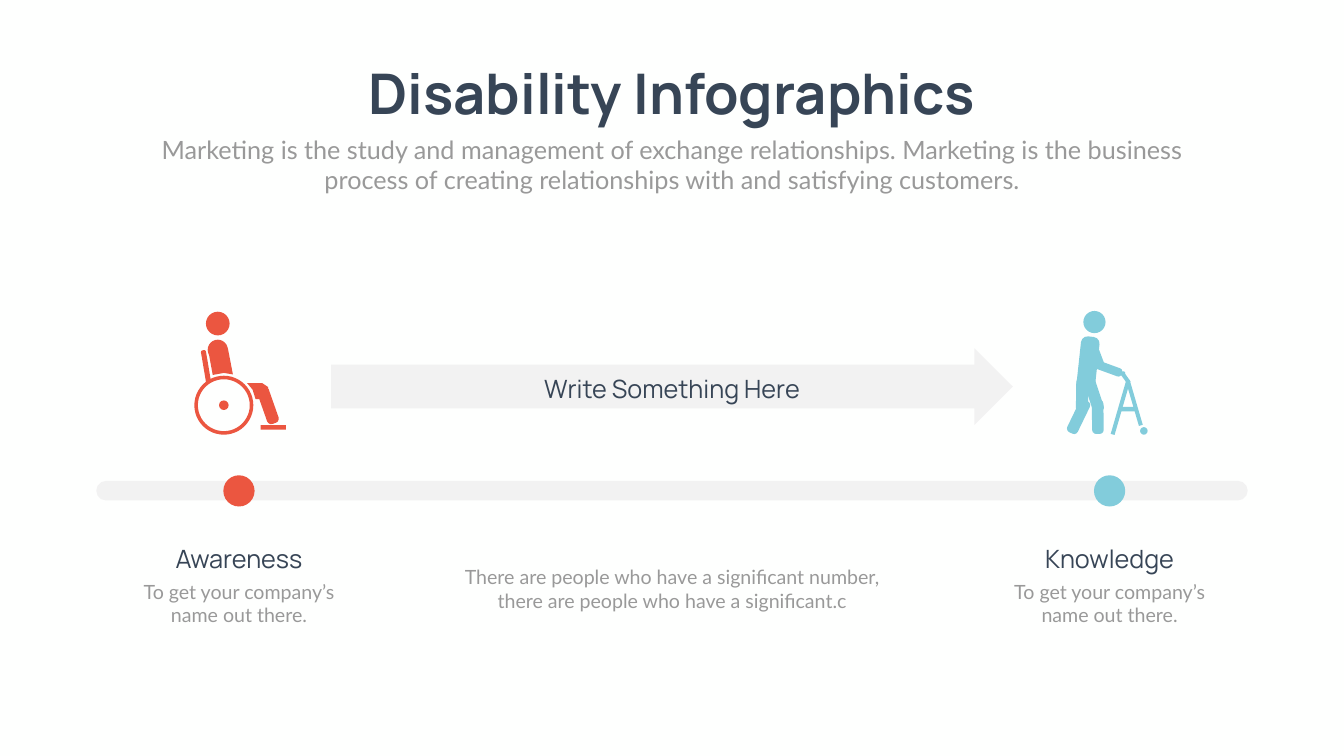
import math

import pptx
import pptx.util
import pptx.dml.color
import pptx.enum.shapes
import pptx.enum.text

Inches = pptx.util.Inches
Pt = pptx.util.Pt
RGBColor = pptx.dml.color.RGBColor
SHAPE = pptx.enum.shapes.MSO_SHAPE

NAVY = RGBColor(0x37, 0x45, 0x56)
GREY = RGBColor(0x99, 0x99, 0x99)
PALE = RGBColor(0xF2, 0xF2, 0xF2)
RED = RGBColor(0xEB, 0x56, 0x40)
BLUE = RGBColor(0x82, 0xCC, 0xDB)
PAPER = RGBColor(0xFE, 0xFF, 0xFE)

WIDTH, HEIGHT = 26.66, 15
TITLE = "Disability Infographics"
SUBTITLE = ("Marketing is the study and management of exchange relationships. "
            "Marketing is the business process of creating relationships with "
            "and satisfying customers.")
ARROW_LABEL = "Write Something Here"
MIDDLE_NOTE = ("There are people who have a significant number, "
               "there are people who have a significant.c")
NOTE = "To get your company’s name out there."
# Centre, colour, heading
MILESTONES = [(4.74, RED, "Awareness"), (22.01, BLUE, "Knowledge")]

# discs and rings: centre and diameter; limbs (rounded) and bars (square):
# both ends and thickness; outlines: corner points
WHEELCHAIR = {
    "discs": [(4.32, 6.42, 0.47), (4.32, 6.94, 0.4), (4.44, 8.04, 0.19)],
    "rings": [(4.44, 8.04, 1.17)],
    "limbs": [(4.03, 6.95, 4.14, 7.6, 0.1), (5.19, 7.69, 5.44, 8.4, 0.24)],
    "bars": [(5.17, 8.48, 5.67, 8.48, 0.09)],
    "outlines": [
        [(4.13, 6.95), (4.52, 6.91), (4.62, 7.43), (4.44, 7.4), (4.22, 7.44)],
        [(4.9, 7.6), (5.2, 7.6), (5.32, 7.68), (5.32, 7.84), (5.2, 7.92),
         (5.07, 7.92), (5.01, 7.73)],
    ],
}
WALKER = {
    "discs": [(21.71, 6.39, 0.44), (22.69, 8.55, 0.15)],
    "limbs": [
        (21.64, 6.68, 21.52, 7.79, 0.37),    # torso
        (21.65, 6.78, 21.85, 7.31, 0.17),    # upper arm
        (21.73, 7.22, 22.25, 7.41, 0.17),    # forearm
        (21.47, 7.5, 21.46, 8.18, 0.24),     # back leg
        (21.55, 7.95, 21.24, 8.59, 0.23),
        (21.59, 7.51, 21.81, 8.17, 0.23),    # front leg
        (21.77, 7.93, 21.78, 8.61, 0.23),
        (22.17, 7.41, 22.32, 7.41, 0.08),    # grip
        (22.25, 7.39, 22.4, 7.6, 0.08),
    ],
    "bars": [
        (22.38, 7.55, 22.07, 8.62, 0.08),
        (22.37, 7.55, 22.63, 8.44, 0.08),
        (22.21, 8.12, 22.53, 8.12, 0.09),
    ],
}


def paint(sp, color):
    sp.shadow.inherit = False
    sp.fill.solid()
    sp.fill.fore_color.rgb = color
    sp.line.fill.background()


def add_preset(shapes, kind, x, y, w, h, color, *adjustments):
    sp = shapes.add_shape(kind, Inches(x), Inches(y), Inches(w), Inches(h))
    for i, value in enumerate(adjustments):
        sp.adjustments[i] = value
    paint(sp, color)
    return sp


def add_round(shapes, kind, cx, cy, d, color, *adjustments):
    add_preset(shapes, kind, cx - d / 2, cy - d / 2, d, d, color, *adjustments)


def add_stick(shapes, kind, x1, y1, x2, y2, thick, color, *adjustments):
    """Turn a bar so that it runs from one end point to the other."""
    length = math.hypot(x2 - x1, y2 - y1)
    sp = add_preset(shapes, kind, (x1 + x2 - length) / 2, (y1 + y2 - thick) / 2,
                    length, thick, color, *adjustments)
    sp.rotation = math.degrees(math.atan2(y2 - y1, x2 - x1))


def add_icon(slide, icon, color):
    shapes = slide.shapes.add_group_shape().shapes
    for disc in icon["discs"]:
        add_round(shapes, SHAPE.OVAL, *disc, color)
    for ring in icon.get("rings", []):
        add_round(shapes, SHAPE.DONUT, *ring, color, 0.06)
    for limb in icon["limbs"]:
        add_stick(shapes, SHAPE.ROUNDED_RECTANGLE, *limb, color, 0.35)
    for bar in icon["bars"]:
        add_stick(shapes, SHAPE.RECTANGLE, *bar, color)
    for outline in icon.get("outlines", []):
        points = [(Inches(x), Inches(y)) for x, y in outline]
        builder = shapes.build_freeform(*points[0])
        builder.add_line_segments(points[1:], close=True)
        paint(builder.convert_to_shape(), color)


def add_text(slide, text, center, y, w, h, *, size, font="Lato", color=GREY,
             bold=False, wrap=True):
    box = slide.shapes.add_textbox(Inches(center - w / 2), Inches(y), Inches(w), Inches(h))
    tf = box.text_frame
    tf.word_wrap = wrap
    tf.auto_size = pptx.enum.text.MSO_AUTO_SIZE.SHAPE_TO_FIT_TEXT
    p = tf.paragraphs[0]
    p.alignment = pptx.enum.text.PP_ALIGN.CENTER
    r = p.add_run()
    r.text = text
    r.font.name, r.font.size, r.font.bold = font, Pt(size), bold
    r.font.color.rgb = color


def main():
    prs = pptx.Presentation()
    prs.slide_width, prs.slide_height = Inches(WIDTH), Inches(HEIGHT)
    s = prs.slides.add_slide(prs.slide_layouts[6])
    s.background.fill.solid()
    s.background.fill.fore_color.rgb = PAPER
    mid = WIDTH / 2
    heading = {"font": "Manrope", "color": NAVY}

    add_text(s, TITLE, mid, 1.12, 13.24, 1.45, size=80, bold=True, wrap=False, **heading)
    add_text(s, SUBTITLE, mid, 2.61, 20.82, 1.31, size=36)

    add_preset(s.shapes, SHAPE.ROUNDED_RECTANGLE, 1.91, 9.54, 22.84, 0.39, PALE, 0.5)
    for center, color, name in MILESTONES:
        add_round(s.shapes, SHAPE.OVAL, center, 9.74, 0.62, color)
        add_text(s, NOTE, center, 11.45, 4.59, 1.04, size=28)
        add_text(s, name, center, 10.74, 4, 0.71, size=36, **heading)

    add_icon(s, WHEELCHAIR, RED)
    add_icon(s, WALKER, BLUE)

    add_preset(s.shapes, SHAPE.RIGHT_ARROW, 6.57, 6.91, 13.52, 1.52, PALE, 0.57, 0.5)
    add_text(s, ARROW_LABEL, mid, 7.35, 6.82, 0.71, size=36, **heading)
    add_text(s, MIDDLE_NOTE, mid, 11.16, 8.55, 1.04, size=28)
    prs.save("out.pptx")


if __name__ == "__main__":
    main()
